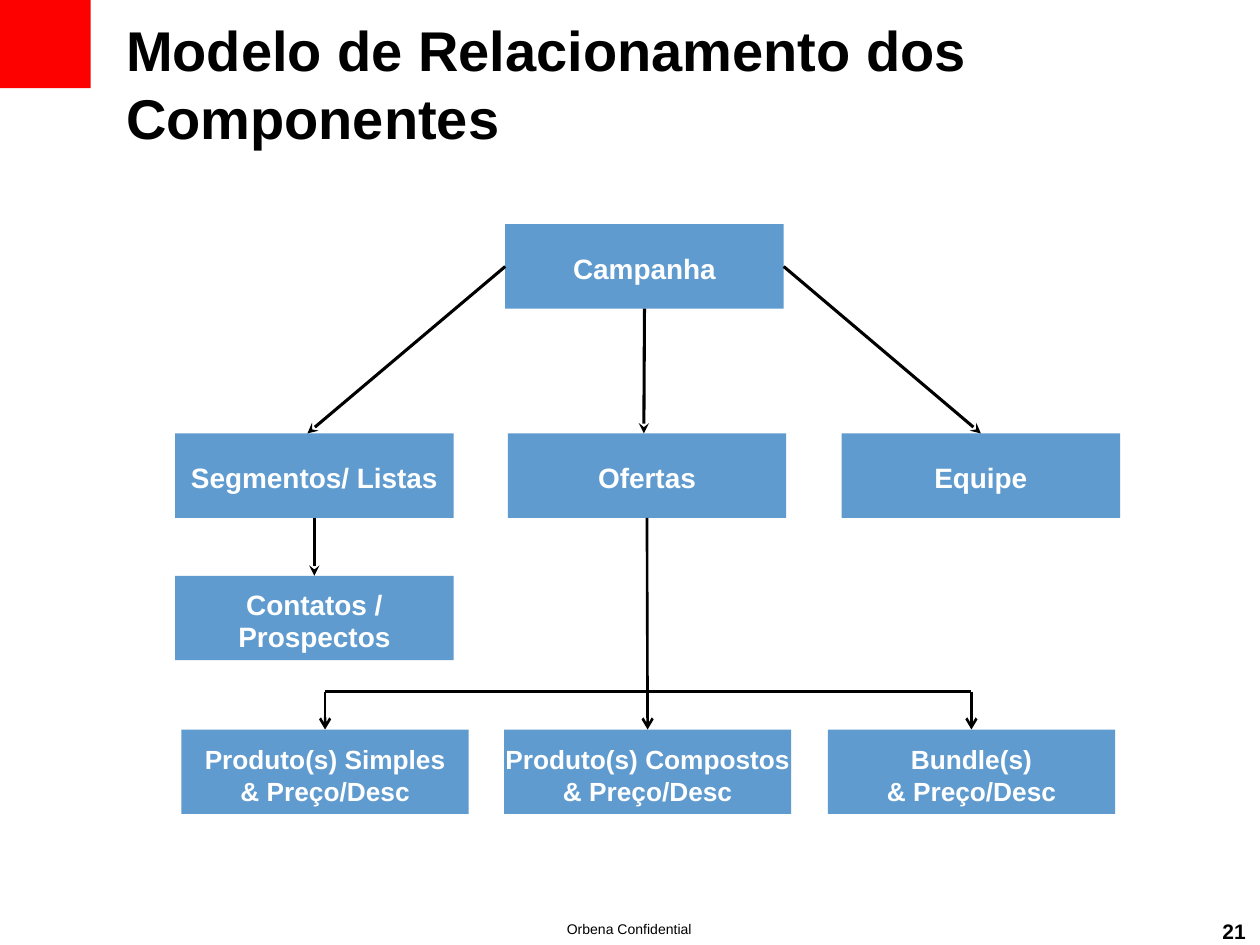
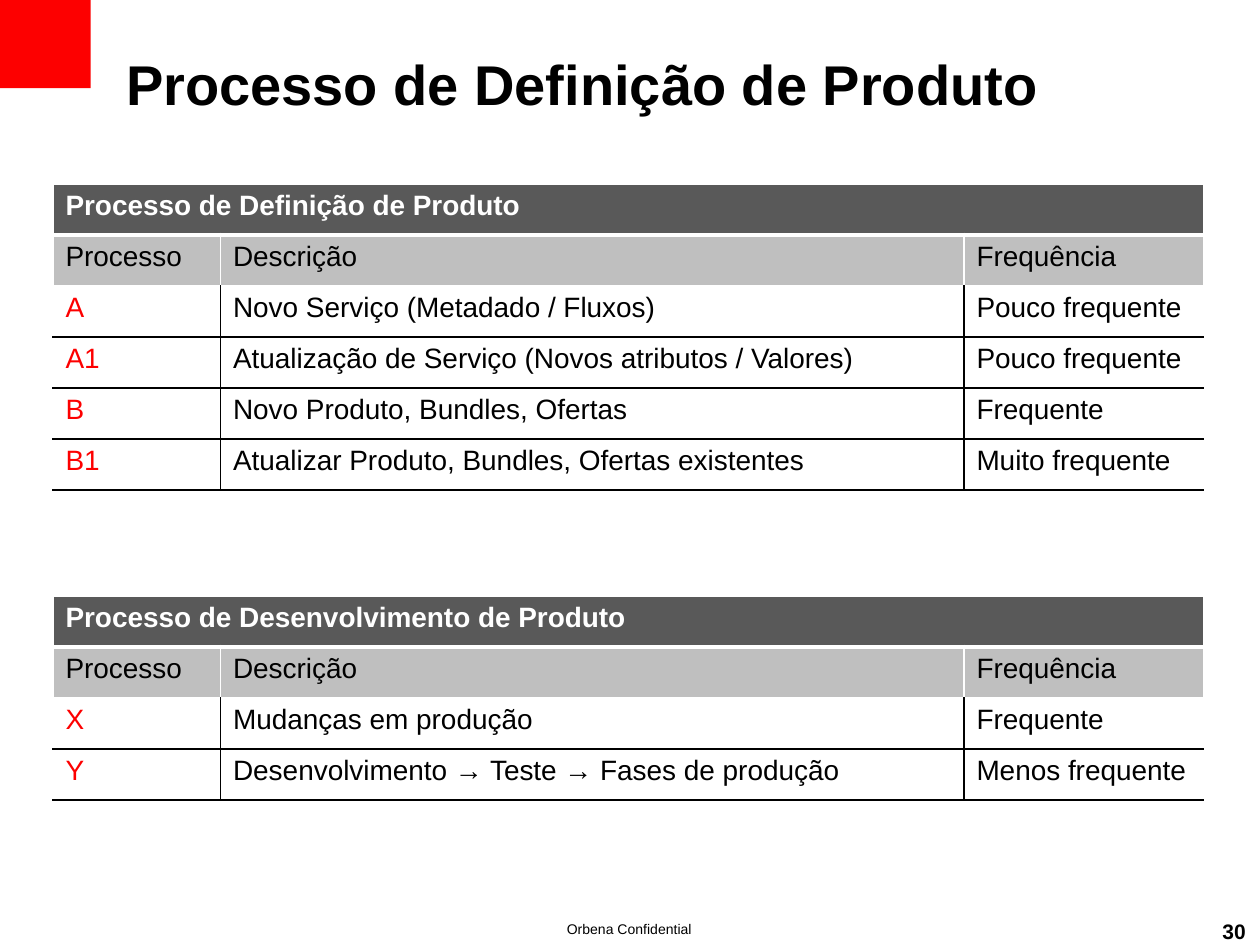
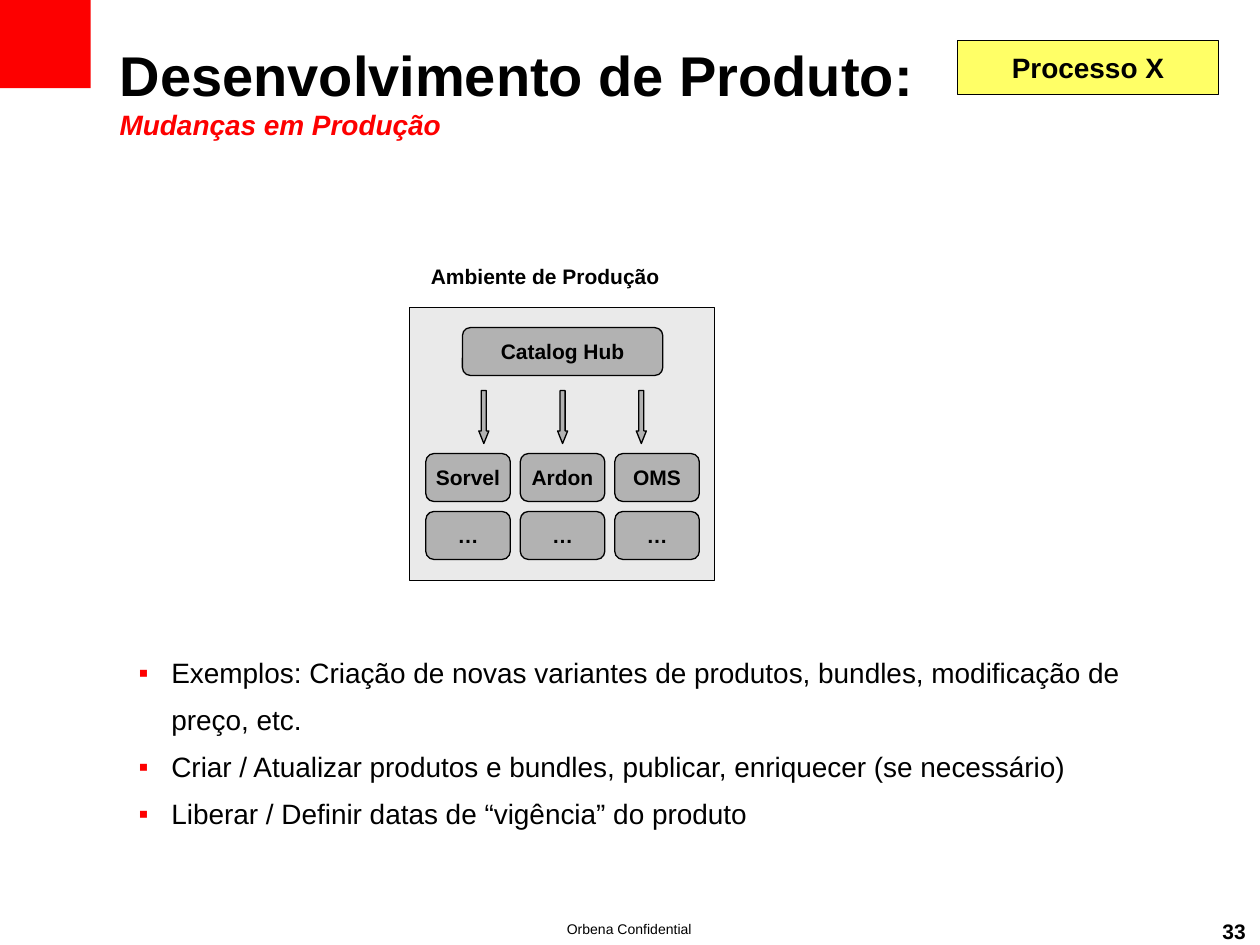
from dataclasses import dataclass

from lxml.etree import SubElement
from pptx import Presentation
from pptx.dml.color import RGBColor as Color
from pptx.enum.shapes import MSO_CONNECTOR as Connector, MSO_SHAPE as Preset
from pptx.enum.text import MSO_ANCHOR as Anchor, MSO_AUTO_SIZE as AutoSize, PP_ALIGN as Align
from pptx.oxml.ns import qn
from pptx.util import Inches, Pt


@dataclass(frozen=True)
class Theme:
    font: str = "Arial"
    black: str = "000000"
    white: str = "FFFFFF"
    red: str = "FD0000"
    blue: str = "5F9BCF"
    yellow: str = "FFFF66"
    header: str = "595959"
    subheader: str = "BFBFBF"
    panel: str = "EAEAEA"
    component: str = "B2B2B2"
    title_size: int = 32
    text_size: int = 16
    product_size: int = 15
    label_size: int = 12
    footer_size: int = 8


theme = Theme()


def write(frame, text, size=theme.text_size, color=theme.black, bold=False,
          align=Align.LEFT, spacing=None, wrap=None, anchor=None, margins=None):
    if wrap is not None:
        frame.word_wrap = wrap
    if anchor is not None:
        frame.vertical_anchor = anchor
    if margins:
        (frame.margin_left, frame.margin_top,
         frame.margin_right, frame.margin_bottom) = map(Inches, margins)
    frame.text = text
    for paragraph in frame.paragraphs:
        paragraph.alignment = align
        paragraph.line_spacing = spacing
        paragraph.space_before = Pt(0)
        for run in paragraph.runs:
            run.font.name = theme.font
            run.font.size = Pt(size)
            run.font.bold = bold
            run.font.color.rgb = Color.from_string(color)


def add_box(slide, preset, at, fill, outlined=False):
    shape = slide.shapes.add_shape(preset, *map(Inches, at))
    shape.shadow.inherit = False
    shape.fill.solid()
    shape.fill.fore_color.rgb = Color.from_string(fill)
    if outlined:
        shape.line.color.rgb = Color.from_string(theme.black)
        shape.line.width = Pt(0.75)
    else:
        shape.line.fill.background()
    return shape


presentation = Presentation()
presentation.slide_width = Inches(10)
presentation.slide_height = Inches(7.5)
master = presentation.slide_master

master_title = master.placeholders[0]
master_title.left, master_title.top = Inches(1), Inches(0.23)
master_title.width, master_title.height = Inches(8.23), Inches(0.86)
title_frame = master_title.text_frame
title_frame.auto_size = AutoSize.NONE
title_frame.vertical_anchor = Anchor.MIDDLE
title_frame.margin_left = title_frame.margin_right = 0
title_frame.margin_top = title_frame.margin_bottom = 0
title_style = master.element.find(".//" + qn("p:titleStyle") + "/" + qn("a:lvl1pPr"))
title_style.set("algn", "l")
title_font = title_style.find(qn("a:defRPr"))
title_font.set("sz", str(theme.title_size * 100))
title_font.set("b", "1")
title_font.find(qn("a:latin")).set("typeface", theme.font)

slides = []
for layout_index, number, title in [
    (5, "21", "Modelo de Relacionamento dos Componentes"),
    (5, "30", "Processo de Definição de Produto"),
    (1, "33", "Desenvolvimento de Produto:\vMudanças em Produção"),
]:
    slide = presentation.slides.add_slide(presentation.slide_layouts[layout_index])
    slide.shapes.title.text_frame.text = title
    number_box = slide.shapes.add_textbox(Inches(9.57), Inches(7.24), Inches(0.45), Inches(0.27))
    write(number_box.text_frame, number, size=theme.label_size, bold=True,
          align=Align.CENTER, wrap=True)
    slides.append(slide)
model_slide, process_slide, change_slide = slides

corner = add_box(model_slide, Preset.RECTANGLE, (0, 0, 0.72, 0.7), theme.red)
footer = model_slide.shapes.add_textbox(Inches(3.41), Inches(7.19), Inches(3.17), Inches(0.37))
write(footer.text_frame, "Orbena Confidential", size=theme.footer_size,
      align=Align.CENTER, anchor=Anchor.MIDDLE)
for shape_id, shape in enumerate((corner, footer), start=20):
    shape.element.find(".//" + qn("p:cNvPr")).set("id", str(shape_id))
    master.shapes.element.append(shape.element)

boxes = {}
for name, text, left, top, width, size in [
    ("campaign", "Campanha", 4.01, 1.78, 2.21, theme.text_size),
    ("segments", "Segmentos/ Listas", 1.39, 3.44, 2.21, theme.text_size),
    ("offers", "Ofertas", 4.03, 3.44, 2.21, theme.text_size),
    ("team", "Equipe", 6.68, 3.44, 2.21, theme.text_size),
    ("contacts", "Contatos /\vProspectos", 1.39, 4.57, 2.21, theme.text_size),
    ("simple", "Produto(s) Simples\v& Preço/Desc", 1.44, 5.79, 2.28, theme.product_size),
    ("compound", "Produto(s) Compostos\v& Preço/Desc", 4, 5.79, 2.28, theme.product_size),
    ("bundle", "Bundle(s)\v& Preço/Desc", 6.57, 5.79, 2.28, theme.product_size),
]:
    boxes[name] = add_box(model_slide, Preset.RECTANGLE, (left, top, width, 0.67), theme.blue)
    write(boxes[name].text_frame, text, size=size, color=theme.white, bold=True,
          align=Align.CENTER, spacing=Pt(18), wrap=False, margins=(0.05, 0.1, 0.05, 0.05))

TOP, LEFT, BOTTOM, RIGHT = range(4)
for start, start_joint, end, end_joint, width, arrow in [
    ((4.01, 2.12), ("campaign", LEFT), (2.44, 3.44), None, 1.75, "stealth"),
    ((5.11, 2.45), ("campaign", BOTTOM), (5.11, 3.44), None, 1.75, "stealth"),
    ((6.22, 2.12), ("campaign", RIGHT), (7.79, 3.44), ("team", TOP), 1.75, "stealth"),
    ((2.49, 4.11), ("segments", BOTTOM), (2.49, 4.57), ("contacts", TOP), 1.75, "stealth"),
    ((2.58, 5.49), None, (7.71, 5.49), None, 1.5, None),
    ((2.58, 5.49), None, (2.58, 5.79), ("simple", TOP), 1.5, "arrow"),
    ((5.14, 4.11), ("offers", BOTTOM), (5.14, 5.79), ("compound", TOP), 1.5, "arrow"),
    ((7.71, 5.49), None, (7.71, 5.79), ("bundle", TOP), 1.5, "arrow"),
]:
    connector = model_slide.shapes.add_connector(Connector.STRAIGHT, *map(Inches, start + end))
    if start_joint:
        connector.begin_connect(boxes[start_joint[0]], start_joint[1])
    if end_joint:
        connector.end_connect(boxes[end_joint[0]], end_joint[1])
    connector.line.color.rgb = Color.from_string(theme.black)
    connector.line.width = Pt(width)
    properties = connector.element.find(qn("p:spPr"))
    if arrow:
        SubElement(properties.find(qn("a:ln")), qn("a:tailEnd"), type=arrow)
    SubElement(properties, qn("a:effectLst"))

column_names = ("Processo", "Descrição", "Frequência")
column_widths = (1.33, 5.9, 1.9)
row_height = 0.405
for top, heading, processes in [
    (1.46, "Processo de Definição de Produto", [
        ("A", "Novo Serviço (Metadado / Fluxos)", "Pouco frequente"),
        ("A1", "Atualização de Serviço (Novos atributos / Valores)", "Pouco frequente"),
        ("B", "Novo Produto, Bundles, Ofertas", "Frequente"),
        ("B1", "Atualizar Produto, Bundles, Ofertas existentes", "Muito frequente"),
    ]),
    (4.73, "Processo de Desenvolvimento de Produto", [
        ("X", "Mudanças em produção", "Frequente"),
        ("Y", "Desenvolvimento → Teste → Fases de produção", "Menos frequente"),
    ]),
]:
    rows = [(heading, "", ""), column_names, *processes]
    table = process_slide.shapes.add_table(
        len(rows), 3, Inches(0.42), Inches(top),
        Inches(sum(column_widths)), Inches(row_height * len(rows))).table
    for column, width in zip(table.columns, column_widths):
        column.width = Inches(width)
    table.cell(0, 0).merge(table.cell(0, 2))
    for row_index, row in enumerate(rows):
        table.rows[row_index].height = Inches(row_height)
        is_process = row_index > 1
        fill = (theme.header, theme.subheader, theme.white)[min(row_index, 2)]
        for column_index, text in enumerate(row):
            cell = table.cell(row_index, column_index)
            black_sides = {
                "lnL": is_process and column_index > 0,
                "lnR": is_process and column_index < 2,
                "lnT": row_index > 2,
                "lnB": is_process,
            }
            thick_side = {0: "lnB", 1: "lnT"}.get(row_index)
            cell_properties = cell._tc.get_or_add_tcPr()
            for side, is_black in black_sides.items():
                border = SubElement(cell_properties, qn("a:" + side),
                                    w=str(Pt(3 if side == thick_side else 1)))
                border_fill = SubElement(border, qn("a:solidFill"))
                SubElement(border_fill, qn("a:srgbClr"),
                           val=theme.black if is_black else theme.white)
            cell.fill.solid()
            cell.fill.fore_color.rgb = Color.from_string(fill)
            if row_index == 0:
                color = theme.white
            else:
                color = theme.red if is_process and column_index == 0 else theme.black
            if text:
                write(cell.text_frame, text, color=color, bold=row_index == 0)

change_title = change_slide.shapes.title
change_title.left, change_title.top = Inches(0.95), Inches(0.29)
change_title.width, change_title.height = Inches(8.23), Inches(0.86)
subtitle_font = change_title.text_frame.paragraphs[0].runs[1].font
subtitle_font.size = Pt(theme.text_size)
subtitle_font.italic = True
subtitle_font.color.rgb = Color.from_string(theme.red)

process_tag = add_box(change_slide, Preset.RECTANGLE, (7.6, 0.32, 2.07, 0.43),
                      theme.yellow, outlined=True)
write(process_tag.text_frame, "Processo X", bold=True, align=Align.CENTER, wrap=False)

environment_label = change_slide.shapes.add_textbox(
    Inches(3.42), Inches(2.04), Inches(1.93), Inches(0.3))
write(environment_label.text_frame, "Ambiente de Produção", size=theme.label_size,
      bold=True, wrap=False, margins=(0, 0.05, 0.1, 0.05))

add_box(change_slide, Preset.RECTANGLE, (3.25, 2.44, 2.42, 2.17), theme.panel, outlined=True)
components = [("Catalog Hub", 3.67, 2.6, 1.59)]
for row_top, names in [(3.6, ("Sorvel", "Ardon", "OMS")), (4.06, ("…", "…", "…"))]:
    for index, name in enumerate(names):
        components.append((name, 3.38 + 0.75 * index, row_top, 0.67))
for name, left, top, width in components:
    component = add_box(change_slide, Preset.ROUNDED_RECTANGLE, (left, top, width, 0.38),
                        theme.component, outlined=True)
    write(component.text_frame, name, size=theme.label_size, bold=True,
          align=Align.CENTER, wrap=False)
for index in range(3):
    arrow = add_box(change_slide, Preset.DOWN_ARROW, (3.8 + 0.625 * index, 3.1, 0.08, 0.42),
                    theme.component, outlined=True)
    arrow.adjustments[0] = 0.5
    arrow.adjustments[1] = 1.25

notes_list = change_slide.placeholders[1]
notes_list.left, notes_list.top = Inches(1), Inches(5.05)
notes_list.width, notes_list.height = Inches(8.3), Inches(1.61)
notes_list.text_frame.auto_size = AutoSize.NONE
write(notes_list.text_frame, "\n".join([
    "Exemplos: Criação de novas variantes de produtos, bundles, modificação de preço, etc.",
    "Criar / Atualizar produtos e bundles, publicar, enriquecer (se necessário)",
    "Liberar / Definir datas de “vigência” do produto",
]), spacing=1.4)
for paragraph in notes_list.text_frame.paragraphs:
    paragraph_properties = paragraph._p.get_or_add_pPr()
    paragraph_properties.set("marL", str(Inches(0.26)))
    paragraph_properties.set("indent", str(-Inches(0.26)))
    bullet_color = SubElement(paragraph_properties, qn("a:buClr"))
    SubElement(bullet_color, qn("a:srgbClr"), val=theme.red)
    SubElement(paragraph_properties, qn("a:buFont"), typeface=theme.font)
    SubElement(paragraph_properties, qn("a:buChar"), char="▪")

presentation.save("out.pptx")
